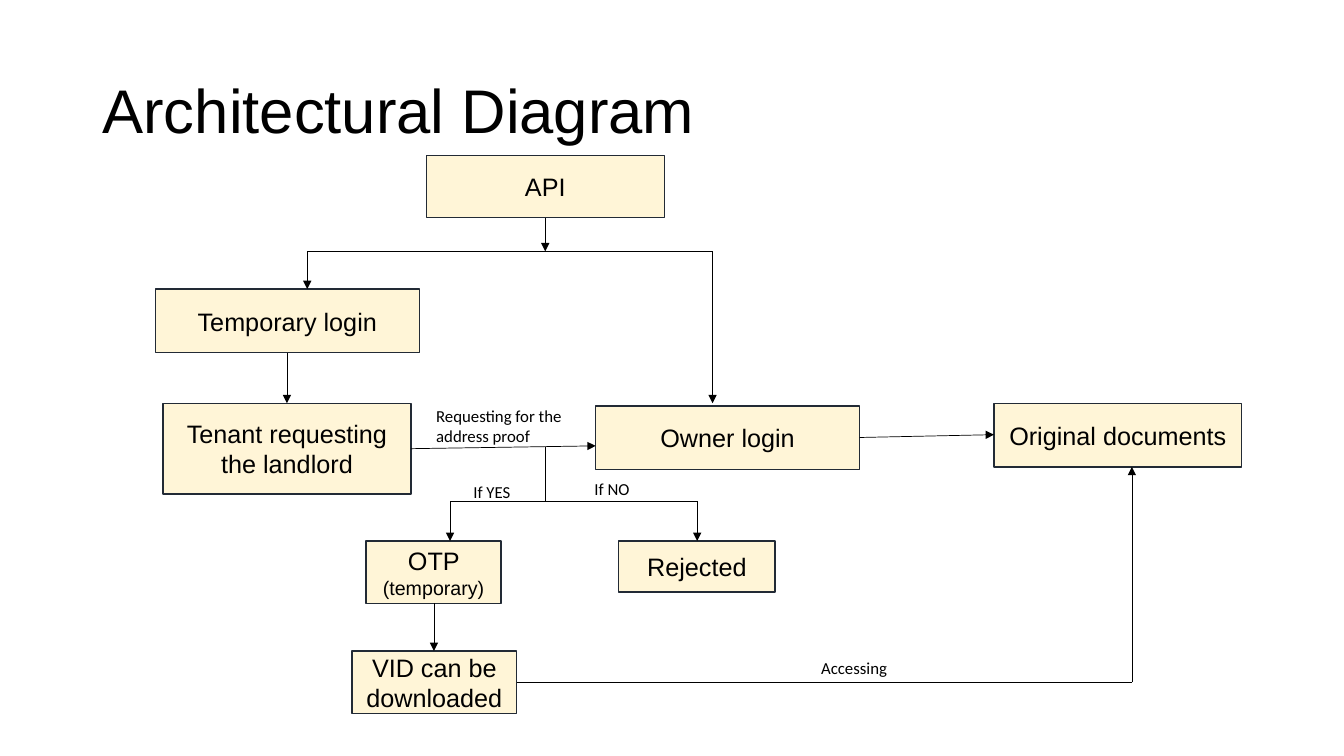
from lxml import etree
from pptx import Presentation
from pptx.dml.color import RGBColor
from pptx.enum.shapes import MSO_CONNECTOR, MSO_SHAPE
from pptx.enum.text import MSO_ANCHOR, PP_ALIGN
from pptx.oxml.ns import qn
from pptx.util import Pt

RECTANGLE = MSO_SHAPE.RECTANGLE
STRAIGHT = MSO_CONNECTOR.STRAIGHT
MIDDLE = MSO_ANCHOR.MIDDLE
LEFT, CENTER = PP_ALIGN.LEFT, PP_ALIGN.CENTER

BLACK = RGBColor(0x00, 0x00, 0x00)
GOLD = RGBColor(0xFF, 0xD9, 0x66)
SLATE = RGBColor(0x22, 0x2A, 0x35)
GOLD_ALPHA = "26000"

TITLE_FONT = {"name": "Arial", "size": Pt(44)}
STEP_FONT = {"name": "Arial", "size": Pt(18)}
NOTE_FONT = {"name": "Arial", "size": Pt(14)}
LABEL_FONT = {"name": "Calibri", "size": Pt(12)}


def add_run(paragraph, text, font_format):
    run = paragraph.add_run()
    run.text = text
    for attribute, value in font_format.items():
        setattr(run.font, attribute, value)
    run.font.color.rgb = BLACK


prs = Presentation()
prs.slide_width, prs.slide_height = Pt(960), Pt(540)
slide = prs.slides.add_slide(prs.slide_layouts[5])

title = slide.shapes.title
title.left, title.top, title.width, title.height = Pt(66), Pt(28.75), Pt(828), Pt(104.4)
title.text_frame.vertical_anchor = MIDDLE
heading = title.text_frame.paragraphs[0]
heading.alignment, heading.line_spacing = LEFT, 0.9
add_run(heading, "Architectural Diagram", TITLE_FONT)

# Process steps: left, top, width, height, text runs
steps = [
    (304.5, 111, 170, 44.5, [("API", STEP_FONT)]),
    (111, 206.5, 188.5, 45.5, [("Temporary login", STEP_FONT)]),
    (425.5, 290, 188.5, 45.5, [("Owner login", STEP_FONT)]),
    (116.5, 288, 177, 65, [("Tenant requesting the landlord", STEP_FONT)]),
    (261.5, 386.5, 96.5, 44.5, [("OTP ", STEP_FONT), ("(temporary)", NOTE_FONT)]),
    (251.5, 465, 117.5, 44.5, [("VID can be downloaded", STEP_FONT)]),
    (710, 288, 177, 45.5, [("Original documents", STEP_FONT)]),
    (442, 386.5, 111.5, 36.5, [("Rejected", STEP_FONT)]),
]
for left, top, width, height, runs in steps:
    step = slide.shapes.add_shape(RECTANGLE, Pt(left), Pt(top), Pt(width), Pt(height))
    step.shadow.inherit = False
    step.fill.solid()
    step.fill.fore_color.rgb = GOLD
    gold = step.fill._xPr.find(qn("a:solidFill"))[0]
    etree.SubElement(gold, qn("a:alpha"), val=GOLD_ALPHA)
    step.line.color.rgb = SLATE
    step.line.width = Pt(1)
    step.text_frame.word_wrap = True
    step.text_frame.vertical_anchor = MIDDLE
    paragraph = step.text_frame.paragraphs[0]
    paragraph.alignment = CENTER
    for text, font_format in runs:
        add_run(paragraph, text, font_format)

# Flows: start x, start y, end x, end y, arrowhead at the end
login_split_y, answer_split_y, access_y = 179.5, 358, 487.5
split_x, owner_x, access_x = 389.5, 509, 808.5
flows = [
    (split_x, 155.5, split_x, login_split_y, True),
    (219.5, login_split_y, owner_x, login_split_y, False),
    (219.5, login_split_y, 219.5, 206.5, True),
    (owner_x, login_split_y, owner_x, 288, True),
    (205, 252, 205, 288, True),
    (614, 312.5, 710, 310.5, True),
    (310, 431, 310, 465, True),
    (321.5, answer_split_y, 321.5, 386.5, True),
    (498, answer_split_y, 498, 386.5, True),
    (293.5, 320.5, 425.5, 318.5, True),
    (369, access_y, access_x, access_y, False),
    (access_x, access_y, access_x, 333.5, True),
    (321.5, answer_split_y, 498, answer_split_y, False),
    (split_x, 319, split_x, answer_split_y, False),
]
for start_x, start_y, end_x, end_y, has_arrow in flows:
    flow = slide.shapes.add_connector(
        STRAIGHT, Pt(start_x), Pt(start_y), Pt(end_x), Pt(end_y))
    flow.line.color.rgb = BLACK
    flow.line.width = Pt(0.5)
    if has_arrow:
        etree.SubElement(flow.line._get_or_add_ln(), qn("a:tailEnd"), type="triangle")
    etree.SubElement(flow._element.spPr, qn("a:effectLst"))

# Flow labels: left, top, width, height, text
labels = [
    (304.5, 286, 119, 36, "Requesting for the address proof"),
    (331, 340.5, 57, 21.5, "If YES"),
    (417.5, 338.5, 62, 21.5, "If NO"),
    (579.5, 466, 103, 21.5, "Accessing"),
]
for left, top, width, height, text in labels:
    label = slide.shapes.add_textbox(Pt(left), Pt(top), Pt(width), Pt(height))
    label.text_frame.word_wrap = True
    add_run(label.text_frame.paragraphs[0], text, LABEL_FONT)

prs.save("out.pptx")
